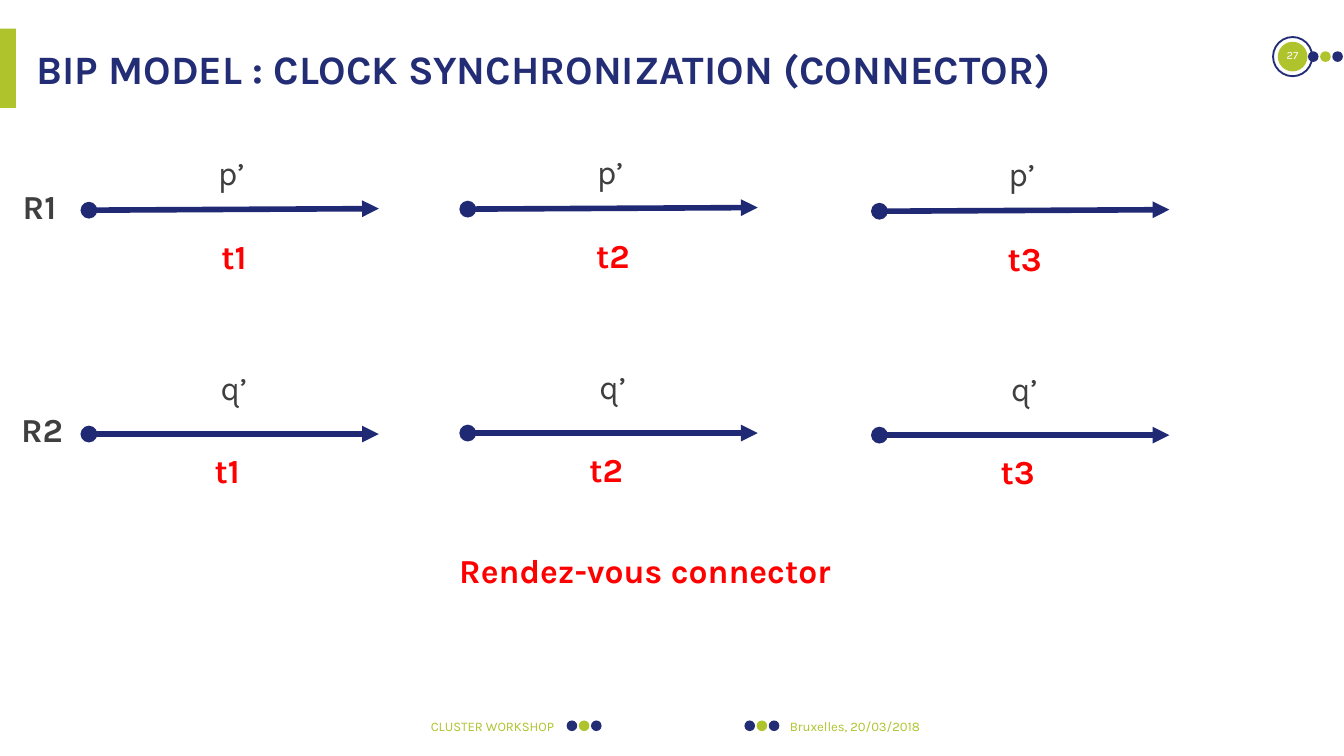
"""Build the clock synchronization slide of the BIP model."""
from dataclasses import dataclass

import pptx
import pptx.dml.color
import pptx.enum.shapes
import pptx.enum.text
import pptx.oxml
import pptx.oxml.ns
import pptx.util
from pptx.util import Cm

RGB = pptx.dml.color.RGBColor.from_string
SHAPE = pptx.enum.shapes.MSO_SHAPE
ALIGN = pptx.enum.text.PP_ALIGN
ANCHOR = pptx.enum.text.MSO_ANCHOR


@dataclass(frozen=True)
class Theme:
    font: str = "Karla"
    navy: str = "232D75"
    arrow: str = "202A74"
    green: str = "AFC32C"
    red: str = "FF0000"
    grey: str = "3F3F3F"
    white: str = "FFFFFF"
    title: float = 21.6
    body: float = 18
    footer: float = 7
    number: float = 6


theme = Theme()


def write(sp, text, size, color, bold=False, align=ALIGN.LEFT, flush=False):
    tf = sp.text_frame
    tf.word_wrap = True
    tf.auto_size = pptx.enum.text.MSO_AUTO_SIZE.NONE
    if flush:
        tf.margin_left = tf.margin_right = tf.margin_top = tf.margin_bottom = 0
        tf.vertical_anchor = ANCHOR.MIDDLE
    p = tf.paragraphs[0]
    p.text = text
    p.alignment = align
    p.font.name = theme.font
    p.font.size = pptx.util.Pt(size)
    p.font.bold = bold
    p.font.color.rgb = RGB(color)


def add_filled(kind, x, y, w, h, color):
    sp = s.shapes.add_shape(kind, Cm(x), Cm(y), Cm(w), Cm(h))
    sp.shadow.inherit = False
    sp.fill.solid()
    sp.fill.fore_color.rgb = RGB(color)
    sp.line.fill.background()
    return sp


prs = pptx.Presentation()
prs.slide_width, prs.slide_height = Cm(25.4), Cm(14.28)
s = prs.slides.add_slide(prs.slide_layouts[5])

title = s.shapes.title
title.left, title.top, title.width, title.height = Cm(0.69), Cm(0.81), Cm(23.37), Cm(0.97)
write(title, "BIP MODEL : CLOCK SYNCHRONIZATION (CONNECTOR)", theme.title, theme.navy, True, flush=True)

add_filled(SHAPE.RECTANGLE, 0, 0.54, 0.3, 1.5, theme.green)
add_filled(SHAPE.OVAL, 24.15, 0.79, 0.56, 0.56, theme.green)
ring = add_filled(SHAPE.OVAL, 24.06, 0.7, 0.74, 0.74, theme.white)
ring.fill.background()
ring.line.color.rgb = RGB(theme.navy)
ring.line.width = pptx.util.Pt(1)

for x, y in [(10.71, 13.61), (14.07, 13.61), (24.72, 0.97)]:
    for i, color in enumerate([theme.navy, theme.green, theme.navy]):
        add_filled(SHAPE.OVAL, x + i * 0.23, y, 0.2, 0.2, color)

for text, x, y, w, h, size, color, align in [
    ("CLUSTER WORKSHOP", 0.69, 13.34, 9.78, 0.76, theme.footer, theme.green, ALIGN.RIGHT),
    ("Bruxelles, 20/03/2018", 14.93, 13.34, 9.78, 0.76, theme.footer, theme.green, ALIGN.LEFT),
    ("27", 24.06, 0.77, 0.74, 0.53, theme.number, theme.white, ALIGN.CENTER),
]:
    sp = s.shapes.add_textbox(Cm(x), Cm(y), Cm(w), Cm(h))
    write(sp, text, size, color, align=align, flush=True)

labels = [
    ("R1", 0.18, 3.38, 1.47, theme.grey, True, ALIGN.LEFT),
    ("R2", 0.15, 7.59, 1.47, theme.grey, True, ALIGN.LEFT),
    ("Rendez-vous connector", 8.43, 10.26, 7.75, theme.red, True, ALIGN.LEFT),
]
rows = [
    ("p’", 2.19, 2.74, 3.97, 3.94, 2.01, 4.34),
    ("q’", 2.24, 6.81, 8.2, 8.2, 1.88, 8.38),
]
columns = [("t1", 1.68, 0), ("t2", 8.84, -0.02), ("t3", 16.62, 0.02)]

for port, port_dx, port_y, start_y, end_y, time_dx, time_y in rows:
    for time, x, dy in columns:
        arrow = s.shapes.add_connector(
            pptx.enum.shapes.MSO_CONNECTOR.STRAIGHT,
            Cm(x), Cm(start_y + dy), Cm(x + 5.48), Cm(end_y + dy))
        arrow.line.color.rgb = RGB(theme.arrow)
        arrow.line.width = pptx.util.Pt(3)
        ln = arrow.line._get_or_add_ln()
        for tag, end in [("a:headEnd", "oval"), ("a:tailEnd", "triangle")]:
            ln.append(pptx.oxml.parse_xml(f'<{tag} {pptx.oxml.ns.nsdecls("a")} type="{end}"/>'))
        arrow._element.spPr.append(
            pptx.oxml.parse_xml(f'<a:effectLst {pptx.oxml.ns.nsdecls("a")}/>'))
        labels += [
            (port, x + port_dx, port_y + dy, 1.8, theme.grey, False, ALIGN.LEFT),
            (time, x + time_dx, time_y + dy, 1.47, theme.red, True, ALIGN.CENTER),
        ]

for text, x, y, w, color, bold, align in labels:
    sp = s.shapes.add_textbox(Cm(x), Cm(y), Cm(w), Cm(1.02))
    write(sp, text, theme.body, color, bold, align)

prs.save("out.pptx")
